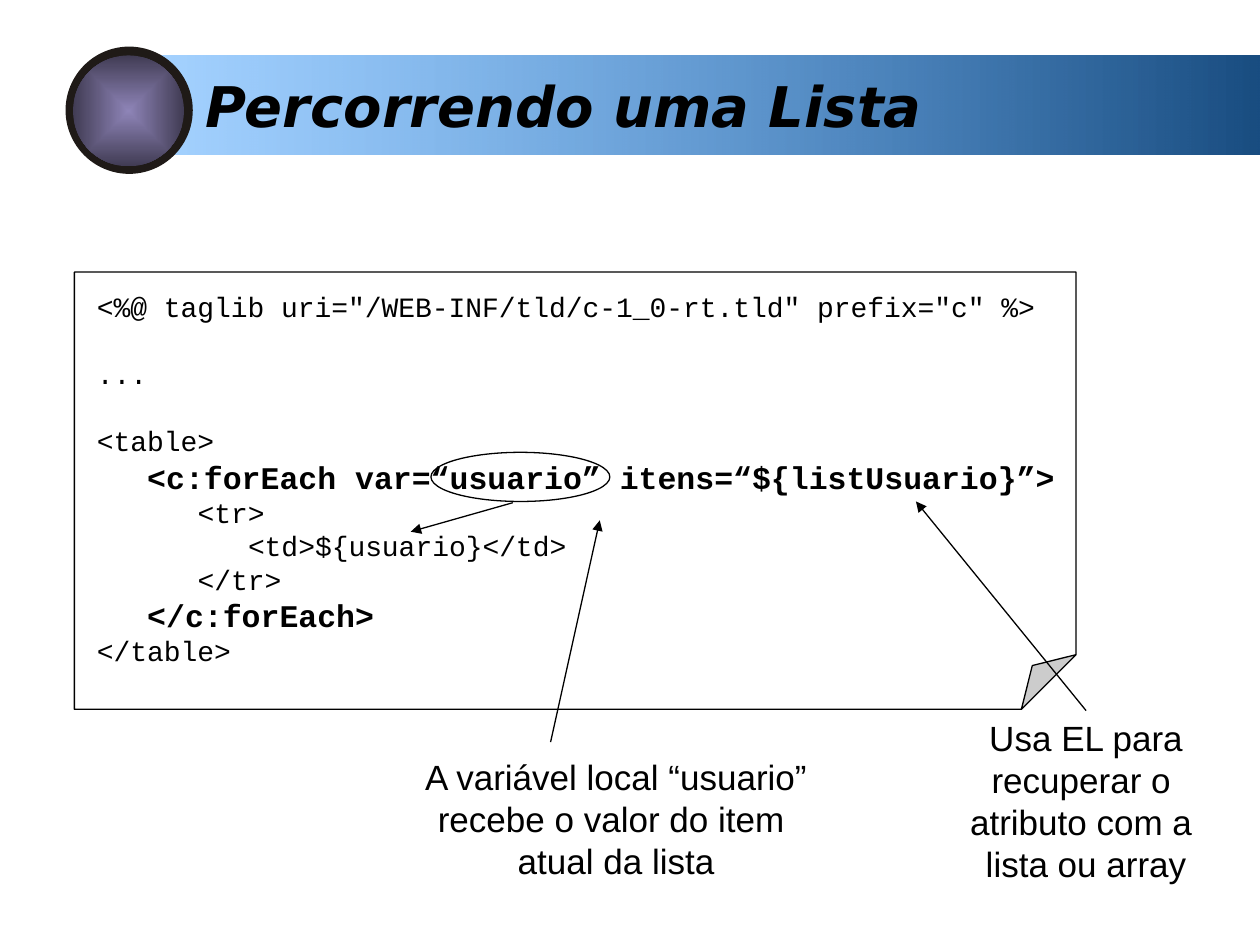
"""Builds the slide that explains how to loop over a list with c:forEach."""
from dataclasses import dataclass
from typing import Optional

from lxml.etree import SubElement
from pptx import Presentation
from pptx.dml.color import RGBColor
from pptx.enum.shapes import MSO_CONNECTOR as Connector, MSO_SHAPE as Shape
from pptx.enum.text import MSO_ANCHOR as Anchor, MSO_AUTO_SIZE as AutoSize, PP_ALIGN as Align
from pptx.oxml.ns import qn
from pptx.util import Inches, Pt

COLORS = {
    "ink": "000000",
    "paper": "FFFFFF",
    "band_dark": "194D81",
    "band_light": "3399FF",
    "bezel": "1F1A17",
    "gem_center": "8E84B7",
    "gem_edge": "413C54",
}
INDENT = 0.4
LINE_FACTOR = 1.2


@dataclass
class CodeLine:
    text: str
    level: int = 0
    strong: bool = False
    gap_before: bool = False

    @property
    def size(self) -> int:
        return 18 if self.strong else 16


@dataclass
class Caption:
    text: str
    box: tuple
    start: tuple
    end: tuple
    joined: bool = False


CODE = [
    CodeLine('<%@ taglib uri="/WEB-INF/tld/c-1_0-rt.tld" prefix="c" %>'),
    CodeLine("...", gap_before=True),
    CodeLine("<table>", gap_before=True),
    CodeLine("<c:forEach var=“usuario” itens=“${listUsuario}”>", 1, strong=True),
    CodeLine("<tr>", 2),
    CodeLine("<td>${usuario}</td>", 3),
    CodeLine("</tr>", 2),
    CodeLine("</c:forEach>", 1, strong=True),
    CodeLine("</table>"),
]
CAPTIONS = [
    Caption("Usa EL para\vrecuperar o \vatributo com a \vlista ou array",
            (7.6, 5.64, 2.04, 1.44), (8.62, 5.64), (7.27, 3.98), joined=True),
    Caption("A variável local “usuario”\vrecebe o valor do item \vatual da lista",
            (3.27, 5.95, 3.24, 1.1), (4.37, 5.89), (4.76, 4.13)),
]


def color(name: str) -> RGBColor:
    return RGBColor.from_string(COLORS[name])


def add_figure(page, kind, box: tuple, fill: Optional[str] = None, outlined: bool = False):
    """Add a preset shape without shadow, optionally filled and outlined."""
    figure = page.shapes.add_shape(kind, *map(Inches, box))
    figure.shadow.inherit = False
    if fill:
        figure.fill.solid()
        figure.fill.fore_color.rgb = color(fill)
    else:
        figure.fill.background()
    if outlined:
        figure.line.color.rgb = color("ink")
        figure.line.width = Pt(0.75)
    else:
        figure.line.fill.background()
    return figure


def set_gradient(figure, first: str, last: str):
    """Fill a shape with two colours and return the gradient element."""
    figure.fill.gradient()
    for stop, name, position in zip(figure.fill.gradient_stops, (first, last), (0, 1)):
        stop.color.rgb = color(name)
        stop.position = position
    return figure._element.spPr.find(qn("a:gradFill"))


def add_band(page) -> None:
    """Draw the title band, fading towards the left."""
    band = add_figure(page, Shape.RECTANGLE, (1.22, 0.44, 8.78, 0.79))
    gradient = set_gradient(band, "band_dark", "band_light")
    band.fill.gradient_angle = 180
    light = gradient.findall(".//" + qn("a:srgbClr"))[-1]
    SubElement(light, qn("a:alpha"), val="44000")


def add_gem(page) -> None:
    """Draw the round ornament beside the title."""
    add_figure(page, Shape.OVAL, (0.52, 0.37, 1.01, 1.01), "bezel")
    gem = add_figure(page, Shape.OVAL, (0.58, 0.44, 0.88, 0.88))
    gradient = set_gradient(gem, "gem_center", "gem_edge")
    gradient.remove(gradient.find(qn("a:lin")))
    shade = SubElement(gradient, qn("a:path"), {"path": "rect"})
    SubElement(shade, qn("a:fillToRect"), dict.fromkeys("ltrb", "50000"))


def add_sheet(page) -> None:
    """Draw the sheet of paper with a small folded corner."""
    box = (0.59, 2.16, 7.95, 3.47)
    sheet = add_figure(page, Shape.FOLDED_CORNER, box, "paper", outlined=True)
    guides = sheet._element.spPr.find(".//" + qn("a:avLst"))
    SubElement(guides, qn("a:gd"), name="adj", fmla="val 12500")


def set_font(para, name: str, size: int, bold: bool = False, italic: bool = False) -> None:
    font = para.font
    font.name, font.size, font.bold, font.italic = name, Pt(size), bold, italic
    font.color.rgb = color("ink")


def set_title(page, text: str) -> None:
    """Place the title on the band and bring it in front."""
    title = page.shapes.title
    title.left, title.top, title.width, title.height = map(Inches, (1.53, 0.52, 8.47, 0.64))
    frame = title.text_frame
    frame.text = text
    frame.vertical_anchor = Anchor.TOP
    frame.auto_size = AutoSize.NONE
    para = frame.paragraphs[0]
    para.alignment = Align.LEFT
    set_font(para, "DejaVu Sans", 32, bold=True, italic=True)
    page.shapes._spTree.append(title._element)


def add_code(page, lines: list) -> None:
    """Write the listing, one paragraph per line of code."""
    frame = page.shapes.add_textbox(*map(Inches, (0.67, 2.25, 7.95, 3.1))).text_frame
    frame.word_wrap = True
    for index, line in enumerate(lines):
        para = frame.paragraphs[0] if index == 0 else frame.add_paragraph()
        para.text = line.text
        para.line_spacing = Pt(line.size * LINE_FACTOR)
        if line.gap_before:
            para.space_before = para.line_spacing
        properties = para._p.get_or_add_pPr()
        properties.set("marL", str(Inches(INDENT * line.level)))
        properties.set("indent", "0")
        set_font(para, "Courier New", line.size, bold=line.strong)


def add_arrow(page, start: tuple, end: tuple):
    """Draw a thin straight arrow pointing at its end."""
    arrow = page.shapes.add_connector(Connector.STRAIGHT, *map(Inches, start + end))
    arrow.line.color.rgb = color("ink")
    arrow.line.width = Pt(0.75)
    SubElement(arrow.line._get_or_add_ln(), qn("a:tailEnd"), type="triangle")
    SubElement(arrow._element.spPr, qn("a:effectLst"))
    return arrow


def add_caption(page, caption: Caption) -> None:
    """Write a centred remark and its arrow into the code."""
    box = page.shapes.add_textbox(*map(Inches, caption.box))
    box.text_frame.word_wrap = False
    para = box.text_frame.paragraphs[0]
    para.text = caption.text
    para.alignment = Align.CENTER
    set_font(para, "Arial", 20)
    arrow = add_arrow(page, caption.start, caption.end)
    if caption.joined:
        arrow.begin_connect(box, 0)


def main() -> None:
    deck = Presentation()
    deck.slide_width, deck.slide_height = Inches(10), Inches(7.5)
    page = deck.slides.add_slide(deck.slide_layouts[5])
    add_band(page)
    add_gem(page)
    set_title(page, "Percorrendo uma Lista")
    add_sheet(page)
    add_code(page, CODE)
    for caption in CAPTIONS:
        add_caption(page, caption)
    add_figure(page, Shape.OVAL, (3.42, 3.59, 1.42, 0.39), outlined=True)
    add_arrow(page, (4.07, 3.99), (3.26, 4.22))
    deck.save("out.pptx")


if __name__ == "__main__":
    main()
